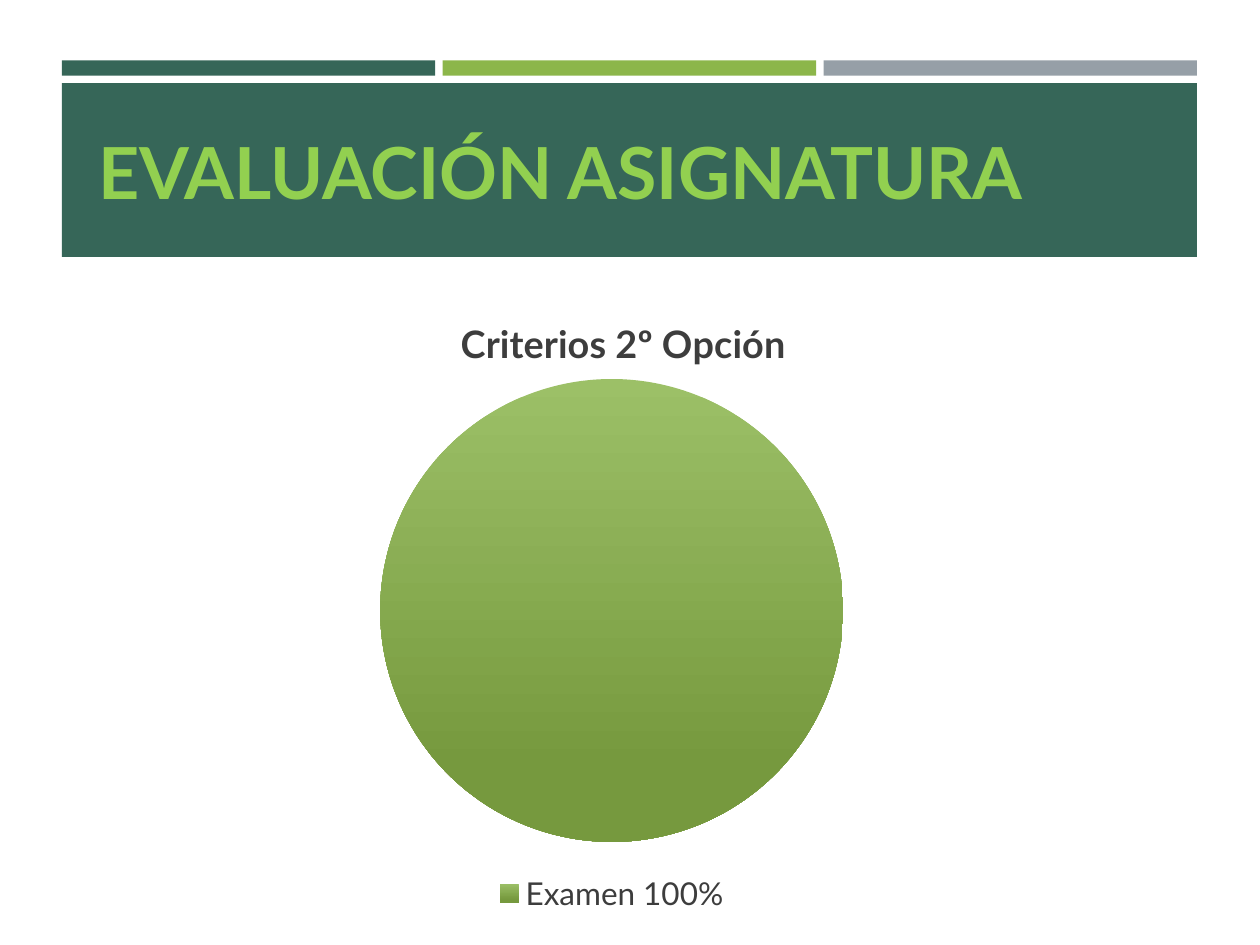
from lxml import etree
from pptx import Presentation
from pptx.chart.data import CategoryChartData
from pptx.dml.color import RGBColor
from pptx.enum.chart import XL_CHART_TYPE, XL_LEGEND_POSITION
from pptx.enum.shapes import MSO_SHAPE
from pptx.enum.text import MSO_ANCHOR
from pptx.util import Inches, Pt

PIE = XL_CHART_TYPE.PIE
BOTTOM = XL_LEGEND_POSITION.BOTTOM
RECT = MSO_SHAPE.RECTANGLE
MIDDLE = MSO_ANCHOR.MIDDLE
C_NS = "http://schemas.openxmlformats.org/drawingml/2006/chart"
COLORS = {"dark": "366658", "green": "8CB64A", "gray": "969FA7",
          "title": "92D050", "text": "3D3D3D",
          "pie_top": "9CC067", "pie_bottom": "76993E"}
W, H = 10, 7.5


class Deck:
    """Holds the style and the current slide."""

    def __init__(self, font):
        self.font = font
        self.prs = Presentation()
        self.prs.slide_width, self.prs.slide_height = Inches(W), Inches(H)
        self.s = self.prs.slides.add_slide(self.prs.slide_layouts[6])

    def box(self, x, y, w, h):
        return Inches(x * W), Inches(y * H), Inches(w * W), Inches(h * H)

    def color(self, name):
        return RGBColor.from_string(COLORS[name])

    def style(self, font, size, color, bold=False):
        font.name, font.size, font.bold = self.font, Pt(size), bold
        font.color.rgb = self.color(color)

    def rect(self, x, y, w, h, color):
        sp = self.s.shapes.add_shape(RECT, *self.box(x, y, w, h))
        sp.shadow.inherit = False
        sp.fill.solid()
        sp.fill.fore_color.rgb = self.color(color)
        sp.line.fill.background()

    def text(self, x, y, w, h, text, size, color):
        tf = self.s.shapes.add_textbox(*self.box(x, y, w, h)).text_frame
        tf.word_wrap = True
        tf.vertical_anchor = MIDDLE
        p = tf.paragraphs[0]
        p.text = text
        self.style(p.font, size, color, bold=True)

    def place(self, parent, index, **shares):
        for old in parent.findall(f"{{{C_NS}}}layout"):
            parent.remove(old)
        layout = etree.Element(f"{{{C_NS}}}layout")
        manual = etree.SubElement(layout, f"{{{C_NS}}}manualLayout")
        if "w" in shares:
            etree.SubElement(manual, f"{{{C_NS}}}layoutTarget", val="inner")
        for key in ("xMode", "yMode"):
            etree.SubElement(manual, f"{{{C_NS}}}{key}", val="edge")
        for key, share in shares.items():
            etree.SubElement(manual, f"{{{C_NS}}}{key}", val=str(share))
        parent.insert(index, layout)

    def pie(self, x, y, w, h, title, values):
        data = CategoryChartData()
        data.categories = list(values)
        data.add_series("Series 1", list(values.values()))
        chart = self.s.shapes.add_chart(PIE, *self.box(x, y, w, h), data).chart
        self.style(chart.font, 18, "text")
        chart.has_title = True
        p = chart.chart_title.text_frame.paragraphs[0]
        p.text = title
        self.style(p.font, 21.6, "text", bold=True)
        chart.has_legend = True
        chart.legend.position = BOTTOM
        chart.legend.include_in_layout = False
        self.style(chart.legend.font, 18, "text")
        plot = chart.plots[0]
        plot.vary_by_categories = True
        fill = plot.series[0].points[0].format.fill
        fill.gradient()
        fill.gradient_angle = 270
        stops = zip(fill.gradient_stops, ("pie_top", "pie_bottom"), (0, 0.84))
        for stop, color, position in stops:
            stop.color.rgb = self.color(color)
            stop.position = position
        root = chart.element if hasattr(chart, "element") else chart._chartSpace
        self.place(root.find(f".//{{{C_NS}}}title"), 1, x=0.35, y=0.04)
        self.place(root.find(f".//{{{C_NS}}}plotArea"), 0,
                   x=0.28, y=0.15, w=0.44, h=0.73)


deck = Deck("Lato")
left, width, gap = 0.049, 0.901, 0.006
bar = (width - 2 * gap) / 3
for i, name in enumerate(("dark", "green", "gray")):
    deck.rect(left + i * (bar + gap), 0.064, bar, 0.016, name)
deck.rect(left, 0.088, width, 0.184, "dark")
deck.pie(0.068, 0.3, 0.835, 0.672, "Criterios 2º Opción", {"Examen 100%": 100})
deck.text(0.068, 0.097, 0.9, 0.167, "EVALUACIÓN ASIGNATURA", 41, "title")
deck.prs.save("out.pptx")
